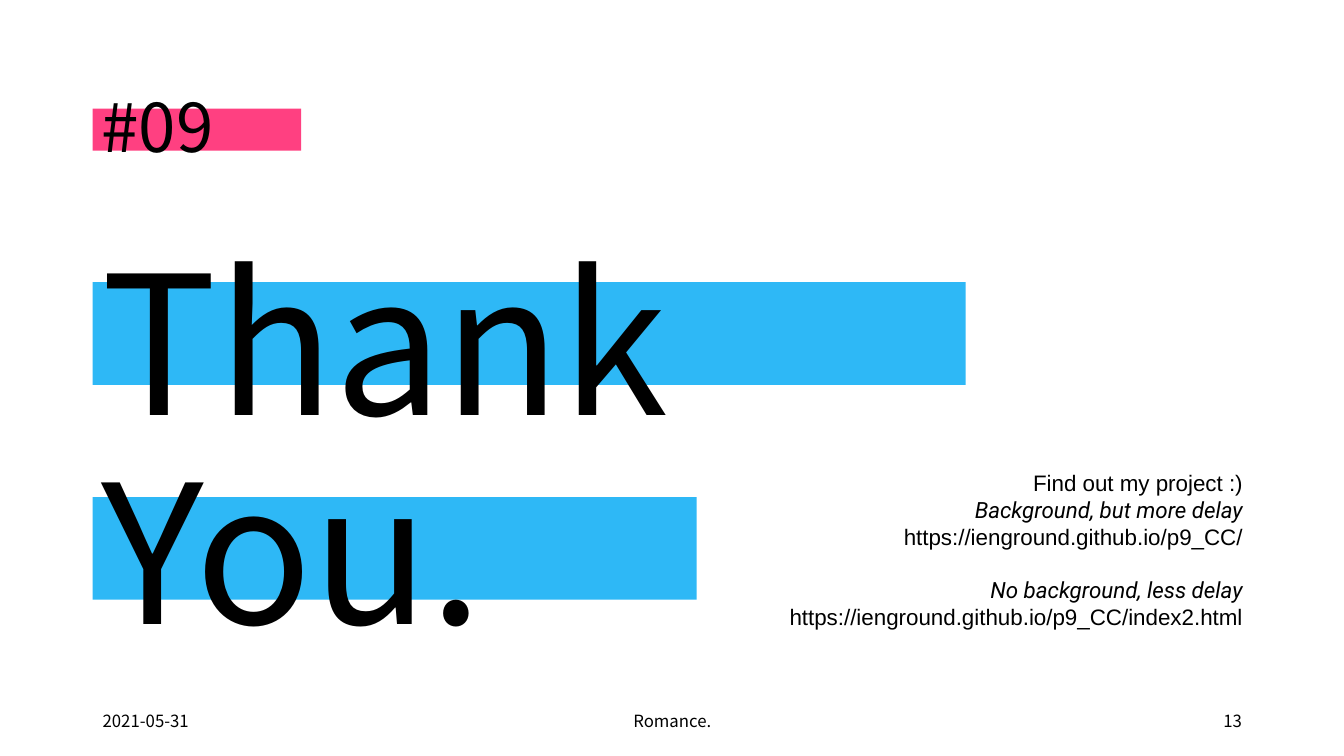
from pptx import Presentation
from pptx.dml.color import RGBColor
from pptx.enum.shapes import MSO_SHAPE
from pptx.enum.text import MSO_ANCHOR, MSO_AUTO_SIZE, PP_ALIGN
from pptx.util import Pt

BLACK = RGBColor(0x00, 0x00, 0x00)
WHITE = RGBColor(0xFF, 0xFF, 0xFF)
PINK = RGBColor(0xFF, 0x40, 0x81)
BLUE = RGBColor(0x2E, 0xB8, 0xF6)

DISPLAY = "Noto Sans CJK KR"
LINK = "Arial"
CAPTION = "Roboto"

LEFT = 66.24
FOOTER_TOP = 500.4


class ClosingPage:
    def __init__(self, deck):
        self.page = deck.slides.add_slide(deck.slide_layouts[5])
        self.page.background.fill.solid()
        self.page.background.fill.fore_color.rgb = WHITE

    def bar(self, left, top, width, height, color):
        box = self.page.shapes.add_shape(
            MSO_SHAPE.RECTANGLE, Pt(left), Pt(top), Pt(width), Pt(height))
        box.shadow.inherit = False
        box.fill.solid()
        box.fill.fore_color.rgb = color
        box.line.fill.background()

    def fill_para(self, para, text, size, font=DISPLAY, italic=False, **layout):
        para.text = text
        style = {"size": Pt(size), "name": font, "italic": italic, "bold": False}
        for span in para.runs:
            for name, value in style.items():
                setattr(span.font, name, value)
            span.font.color.rgb = BLACK
        for name, value in layout.items():
            setattr(para, name, value)

    def frame(self, box, anchor, wrap=True):
        settings = {"word_wrap": wrap, "auto_size": MSO_AUTO_SIZE.NONE,
                    "vertical_anchor": anchor}
        for name, value in settings.items():
            setattr(box.text_frame, name, value)
        return box.text_frame

    def title(self, text, size, left, top, width, height):
        box = self.page.shapes.title
        place = {"left": left, "top": top, "width": width, "height": height}
        for name, value in place.items():
            setattr(box, name, Pt(value))
        frame = self.frame(box, MSO_ANCHOR.BOTTOM)
        self.fill_para(frame.paragraphs[0], text, size,
                       alignment=PP_ALIGN.LEFT, line_spacing=0.9)
        self.page.shapes._spTree.append(box._element)

    def label(self, text, size, align, left, top, width, height, spacing=1.0):
        box = self.page.shapes.add_textbox(Pt(left), Pt(top), Pt(width), Pt(height))
        frame = self.frame(box, MSO_ANCHOR.MIDDLE)
        self.fill_para(frame.paragraphs[0], text, size,
                       alignment=align, line_spacing=spacing)

    def links(self, lines, size, left, top, width, height):
        box = self.page.shapes.add_textbox(Pt(left), Pt(top), Pt(width), Pt(height))
        frame = self.frame(box, MSO_ANCHOR.BOTTOM, wrap=False)
        for index, (text, font, gap) in enumerate(lines):
            para = frame.add_paragraph() if index else frame.paragraphs[0]
            self.fill_para(para, text, size, font, font == CAPTION,
                           alignment=PP_ALIGN.RIGHT, space_before=Pt(gap))


def main():
    deck = Presentation()
    deck.slide_width, deck.slide_height = Pt(960), Pt(540)
    closing = ClosingPage(deck)

    closing.bar(LEFT, 77.6, 149, 30, PINK)
    for top, width in ((355, 431.3), (201.6, 623.5)):
        closing.bar(LEFT, top, width, 73.4, BLUE)

    closing.title("Thank\vYou.", 138, 65.5, 159.1, 828, 320.4)
    closing.label("#09", 48, PP_ALIGN.LEFT, 65.5, 54, 152.6, 79.2, spacing=0.9)

    for text, align, left, width in (
        ("2021-05-31", PP_ALIGN.LEFT, LEFT, 216),
        ("Romance.", PP_ALIGN.CENTER, 318.24, 324),
        ("13", PP_ALIGN.RIGHT, 678.24, 216),
    ):
        closing.label(text, 12, align, left, FOOTER_TOP, width, 28.8)

    closing.links([
        ("Find out my project :)", LINK, 0),
        ("Background, but more delay", CAPTION, 0),
        ("https://ienground.github.io/p9_CC/", LINK, 0),
        ("No background, less delay", CAPTION, 19),
        ("https://ienground.github.io/p9_CC/index2.html", LINK, 0),
    ], 16, 487.4, 329.8, 407.5, 123.8)

    deck.save("out.pptx")


if __name__ == "__main__":
    main()
